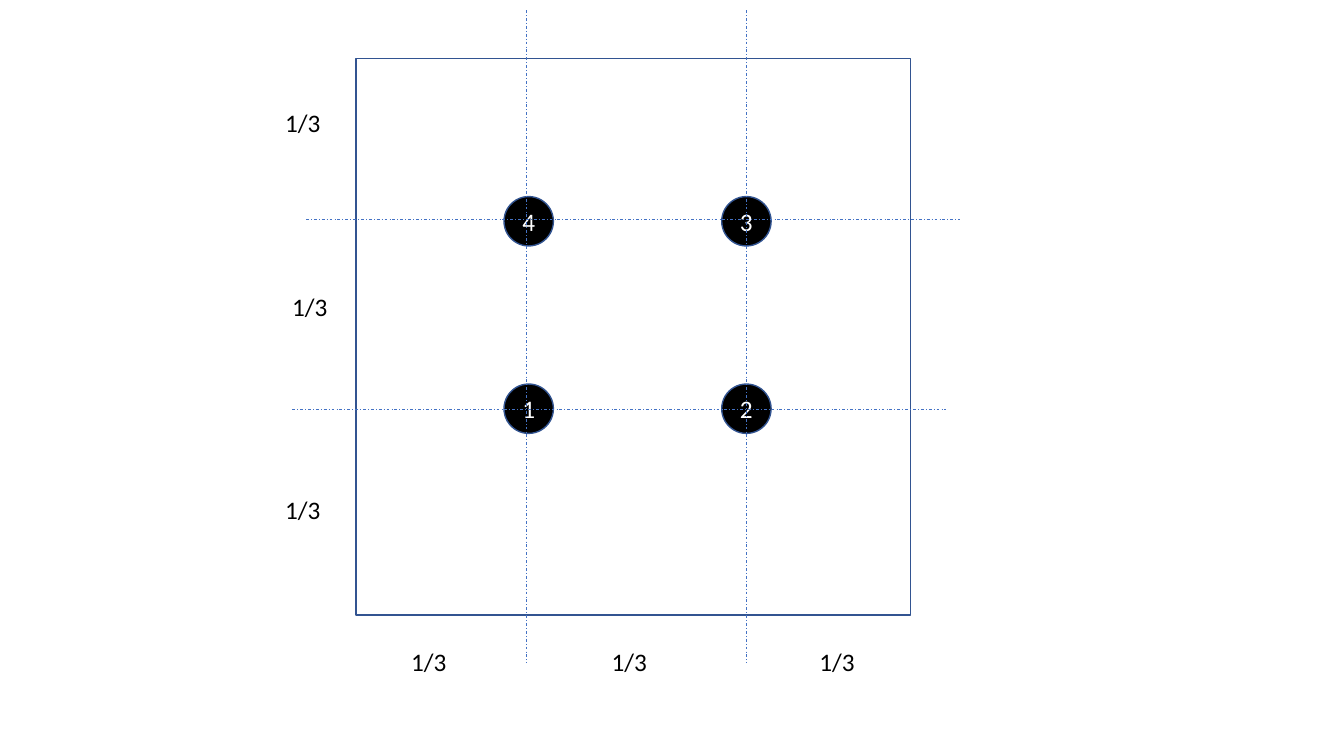
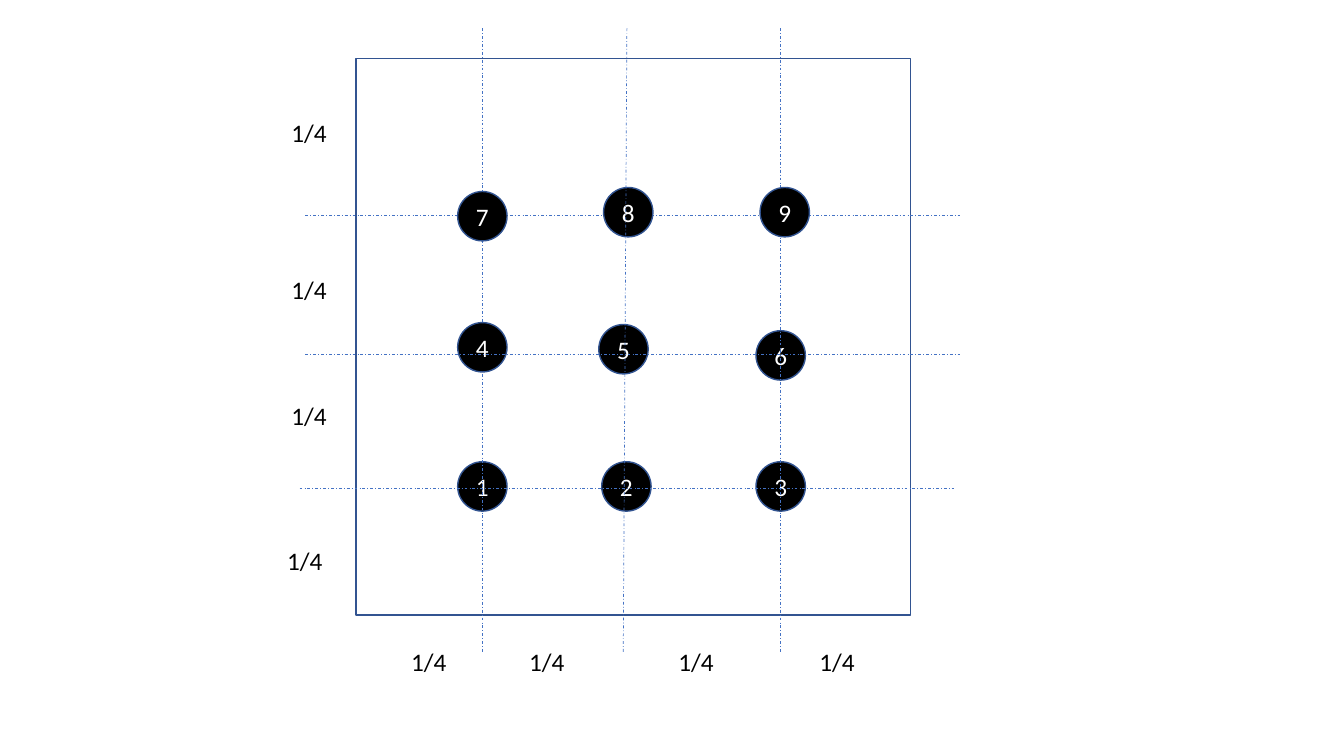
from lxml import etree
from pptx import Presentation
from pptx.dml.color import RGBColor
from pptx.enum import dml, shapes, text
from pptx.oxml.ns import qn
from pptx.util import Pt

BLACK, WHITE = "000000", "FFFFFF"
OUTLINE, GUIDE = "325491", "4472C4"
FONT, FONT_SIZE = "Calibri", 18
FRAME = (254.2, 41.8, 396, 397.4)
DISC = 35.3
LABEL_SIZE = (43.9, 28.8)
LABEL_ROW = 457.9
GUIDE_LENGTH = 467.2


def rgb(color):
    return RGBColor.from_string(color)


def add_outlined(slide, kind, box):
    sp = slide.shapes.add_shape(kind, *map(Pt, box))
    sp.shadow.inherit = False
    sp.line.color.rgb = rgb(OUTLINE)
    sp.line.width = Pt(1)
    return sp


def write(sp, words, color, align):
    tf = sp.text_frame
    tf.word_wrap = True
    p = tf.paragraphs[0]
    p.text = words
    p.alignment = align
    p.font.name = FONT
    p.font.size = Pt(FONT_SIZE)
    p.font.color.rgb = rgb(color)


def add_frame(slide):
    add_outlined(slide, shapes.MSO_SHAPE.RECTANGLE, FRAME).fill.background()


def add_discs(slide, discs):
    """Draw numbered discs from (number, left, top)."""
    for number, left, top in discs:
        sp = add_outlined(slide, shapes.MSO_SHAPE.OVAL, (left, top, DISC, DISC))
        sp.fill.solid()
        sp.fill.fore_color.rgb = rgb(BLACK)
        write(sp, str(number), WHITE, text.PP_ALIGN.CENTER)
        sp.text_frame.vertical_anchor = text.MSO_ANCHOR.MIDDLE


def add_guide(slide, x1, y1, x2, y2):
    line = slide.shapes.add_connector(
        shapes.MSO_CONNECTOR.STRAIGHT, *map(Pt, (x1, y1, x2, y2)))
    line.line.color.rgb = rgb(GUIDE)
    line.line.width = Pt(0.5)
    line.line.dash_style = dml.MSO_LINE.DASH_DOT
    etree.SubElement(line._element.spPr, qn("a:effectLst"))


def add_rows(slide, rows):
    """Draw horizontal guides from (left, y)."""
    for left, y in rows:
        add_guide(slide, left, y, left + GUIDE_LENGTH, y)


def add_columns(slide, columns, top, bottom):
    """Draw upright guides from (x at top, x at bottom)."""
    for x_top, x_bottom in columns:
        add_guide(slide, x_top, top, x_bottom, bottom)


def add_labels(slide, words, below, beside):
    """Label the parts below the frame (lefts) and beside it (left, top)."""
    for left, top in [(x, LABEL_ROW) for x in below] + beside:
        sp = slide.shapes.add_textbox(*map(Pt, (left, top, *LABEL_SIZE)))
        write(sp, words, BLACK, text.PP_ALIGN.LEFT)


def build_thirds(slide):
    add_frame(slide)
    left, right, upper, lower = 360, 515.5, 140.4, 274.3
    add_discs(slide, [(1, left, lower), (2, right, lower),
                      (4, left, upper), (3, right, upper)])
    add_rows(slide, [(208.8, 292.1), (218.6, 157)])
    add_columns(slide, [(533.3, 533.3), (375.8, 375.8)], 7.2, 473.8)
    add_labels(slide, "1/3", [286.6, 429.8, 578.2],
               [(196.6, 73.4), (201.6, 204.5), (196.6, 349.9)])


def build_quarters(slide):
    top, bottom = 20.2, 467
    left, right, lower = 326.9, 540, 329.8
    add_frame(slide)
    add_discs(slide, [(1, left, lower), (2, 429.8, lower),
                      (3, right, lower), (6, right, 236.2)])
    add_rows(slide, [(214, 349), (218.2, 153.6)])
    add_columns(slide, [(557.3, 557.3), (344.7, 344.7)], top, bottom)
    # These discs cover the outer guides; the middle guides cross them.
    add_discs(slide, [(5, 427.7, 231.8), (4, left, 230.4), (9, 542.9, 133.9),
                      (8, 431.1, 133.9), (7, left, 136.8)])
    add_rows(slide, [(218.2, 252.9)])
    add_columns(slide, [(447.8, 445.2)], top, bottom)
    add_labels(slide, "1/4", [286.6, 370.8, 477.4, 578.2],
               [(201, 80.6), (201, 192.2), (201, 282.2), (198, 385.9)])


def main():
    prs = Presentation()
    prs.slide_width, prs.slide_height = Pt(960), Pt(540)
    for build in (build_thirds, build_quarters):
        build(prs.slides.add_slide(prs.slide_layouts[6]))
    prs.save("out.pptx")


if __name__ == "__main__":
    main()
